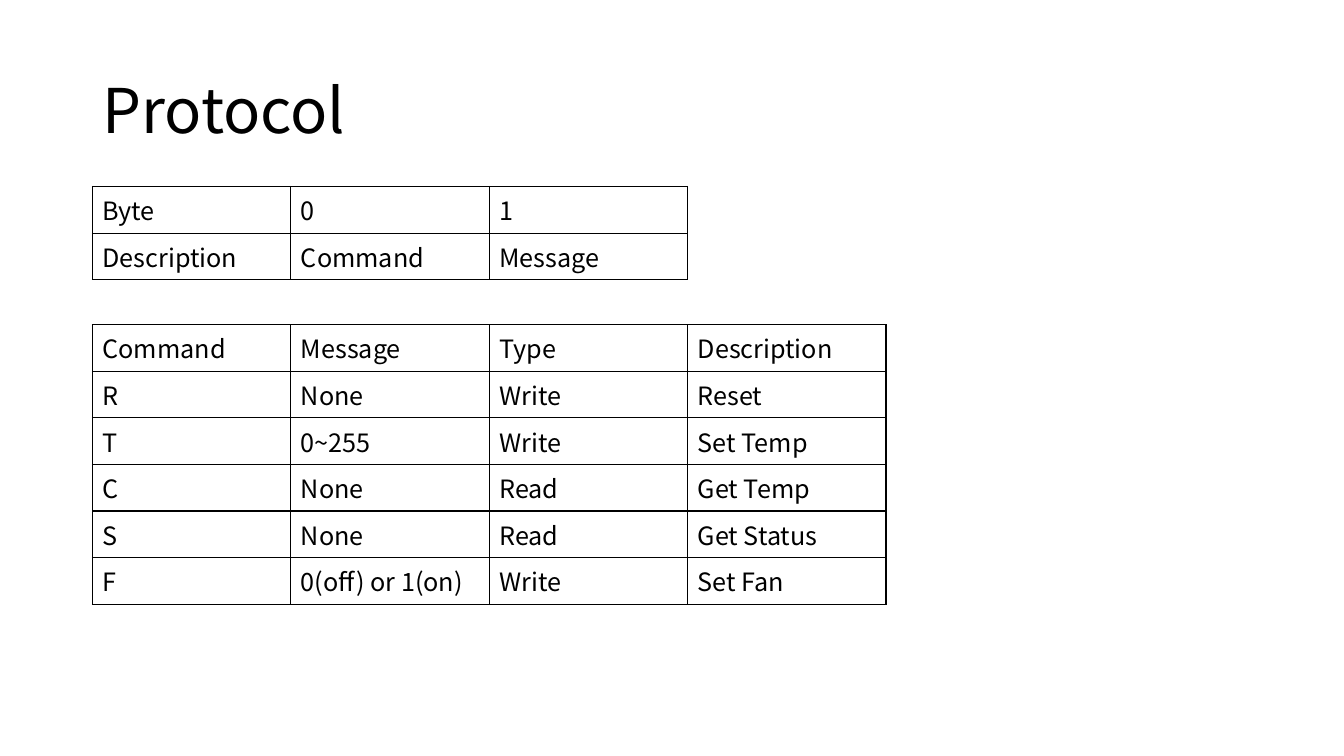
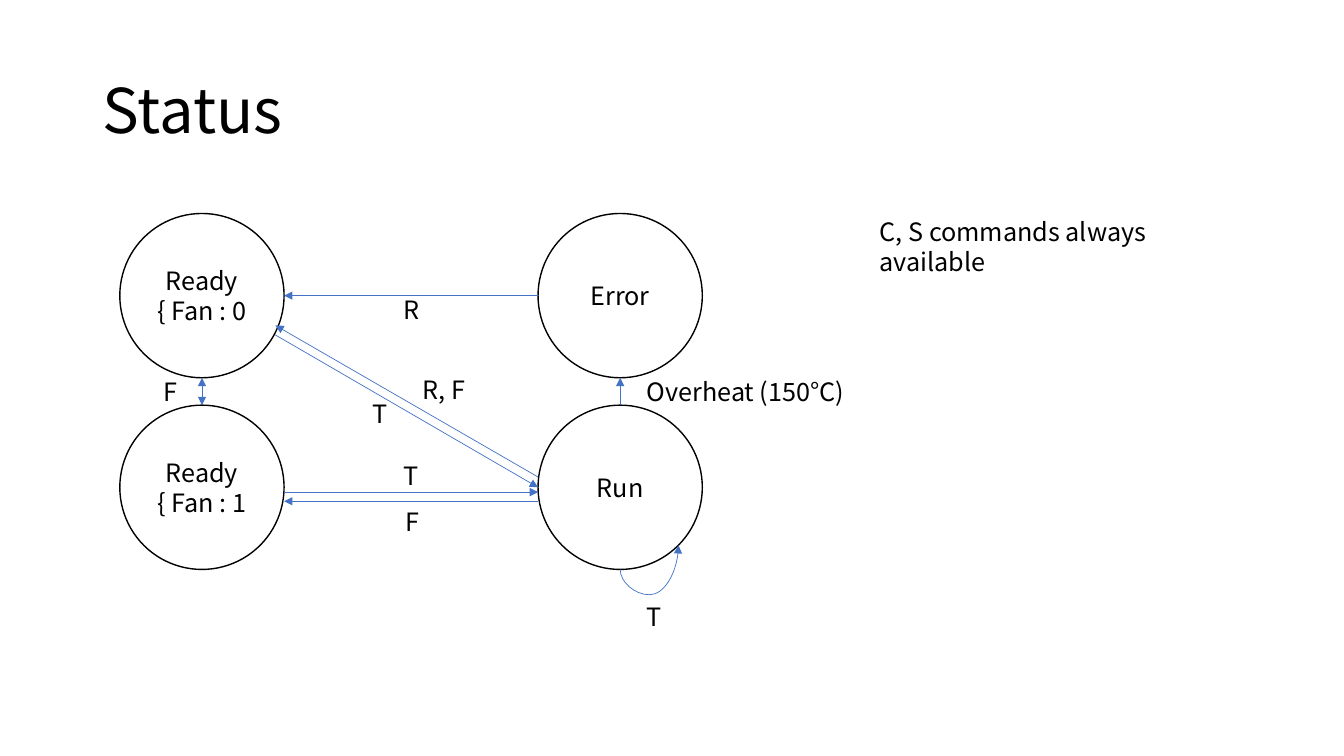
from lxml.etree import SubElement
from pptx import Presentation
from pptx.dml.color import RGBColor
from pptx.enum.shapes import MSO_CONNECTOR as LINK, MSO_SHAPE as SHAPE
from pptx.enum.text import MSO_ANCHOR as ANCHOR, MSO_AUTO_SIZE as FIT, PP_ALIGN as ALIGN
from pptx.oxml.ns import qn
from pptx.util import Cm, Pt

FONT = "Noto Sans CJK KR"
BLACK = RGBColor(0x00, 0x00, 0x00)
WHITE = RGBColor(0xFF, 0xFF, 0xFF)
BLUE = RGBColor(0x44, 0x72, 0xC4)

deck = Presentation()
deck.slide_width, deck.slide_height = Cm(33.87), Cm(19.05)


def write(frame, lines, size=18, align=ALIGN.LEFT):
    """Fill a text frame with one paragraph per line."""
    for number, line in enumerate(lines):
        paragraph = frame.add_paragraph() if number else frame.paragraphs[0]
        paragraph.alignment = align
        run = paragraph.add_run()
        run.text = line
        run.font.name, run.font.size = FONT, Pt(size)
        run.font.color.rgb = BLACK


def add_titled_slide(heading):
    slide = deck.slides.add_slide(deck.slide_layouts[5])
    title = slide.shapes.title
    title.left, title.top, title.width, title.height = Cm(2.33), Cm(1.01), Cm(29.21), Cm(3.68)
    title.text_frame.vertical_anchor = ANCHOR.MIDDLE
    write(title.text_frame, [heading], 44)
    title.text_frame.paragraphs[0].line_spacing = 0.9
    return slide.shapes


# Protocol
protocol = add_titled_slide("Protocol")
COLUMN, ROW = 5, 1.03
byte_layout = [
    ["Byte", "0", "1"],
    ["Description", "Command", "Message"],
]
commands = [
    ["Command", "Message", "Type", "Description"],
    ["R", "None", "Write", "Reset"],
    ["T", "0~255", "Write", "Set Temp"],
    ["C", "None", "Read", "Get Temp"],
    ["S", "None", "Read", "Get Status"],
    ["F", "0(off) or 1(on)", "Write", "Set Fan"],
]
for top, rows in [(4.7, byte_layout), (8.18, commands)]:
    table = protocol.add_table(
        len(rows), len(rows[0]), Cm(2.33), Cm(top),
        Cm(COLUMN * len(rows[0])), Cm(ROW * len(rows)),
    ).table
    table.first_row = table.horz_banding = False
    for cell, words in zip(table.iter_cells(), sum(rows, [])):
        write(cell.text_frame, [words])
        properties = cell._tc.get_or_add_tcPr()
        for side in ("a:lnL", "a:lnR", "a:lnT", "a:lnB"):
            border = SubElement(properties, qn(side), w=str(Pt(1)))
            border_fill = SubElement(border, qn("a:solidFill"))
            SubElement(border_fill, qn("a:srgbClr"), val=str(BLACK))
        cell.fill.solid()
        cell.fill.fore_color.rgb = WHITE

# Status
status = add_titled_slide("Status")
CIRCLE = 4.14
LEFT, RIGHT = 3.02, 13.56
UPPER, LOWER = 5.38, 10.21
READY_EDGE = LEFT + CIRCLE
READY_MID, RUN_MID = LEFT + CIRCLE / 2, RIGHT + CIRCLE / 2
UPPER_MID, UPPER_END = UPPER + CIRCLE / 2, UPPER + CIRCLE

states = [
    (LEFT, UPPER, ["Ready", "{ Fan : 0"]),
    (LEFT, LOWER, ["Ready", "{ Fan : 1"]),
    (RIGHT, UPPER, ["Error"]),
    (RIGHT, LOWER, ["Run"]),
]
for x, y, lines in states:
    state = status.add_shape(SHAPE.OVAL, Cm(x), Cm(y), Cm(CIRCLE), Cm(CIRCLE))
    state.shadow.inherit = False
    state.fill.solid()
    state.fill.fore_color.rgb = WHITE
    state.line.color.rgb, state.line.width = BLACK, Pt(1)
    state.text_frame.vertical_anchor = ANCHOR.MIDDLE
    write(state.text_frame, lines, align=ALIGN.CENTER)

END, BOTH = ["a:tailEnd"], ["a:headEnd", "a:tailEnd"]
transitions = [
    (LINK.STRAIGHT, READY_EDGE, 12.4, RIGHT, 12.4, END),
    (LINK.STRAIGHT, RIGHT, 12.63, READY_EDGE, 12.63, END),
    (LINK.STRAIGHT, 6.94, 8.44, RIGHT, 12.28, END),
    (LINK.STRAIGHT, RIGHT, 12.02, 6.94, 8.2, END),
    (LINK.STRAIGHT, RIGHT, UPPER_MID, READY_EDGE, UPPER_MID, END),
    (LINK.STRAIGHT, RUN_MID, LOWER, RUN_MID, UPPER_END, END),
    (LINK.STRAIGHT, READY_MID, UPPER_END, READY_MID, LOWER, BOTH),
    (LINK.CURVE, 16.67, 14.78, 16.06, 13.31, END),
]
for kind, x1, y1, x2, y2, heads in transitions:
    arrow = status.add_connector(kind, Cm(x1), Cm(y1), Cm(x2), Cm(y2))
    arrow.line.color.rgb, arrow.line.width = BLUE, Pt(0.5)
    for head in heads:
        SubElement(arrow.line._get_or_add_ln(), qn(head), type="triangle")
    drawing = arrow._element.spPr
    SubElement(drawing, qn("a:effectLst"))
    if kind == LINK.CURVE:
        # A quarter turn makes the loop hang below the circle
        drawing.find(qn("a:xfrm")).set("rot", str(90 * 60000))
        bends = drawing.find(qn("a:prstGeom")).find(qn("a:avLst"))
        SubElement(bends, qn("a:gd"), name="adj1", fmla="val -104700")

labels = [
    ("F", 3.86, 9.35, 0.85),
    ("T", 9.93, 11.48, 0.85),
    ("T", 9.14, 9.9, 0.85),
    ("R", 9.93, 7.28, 0.9),
    ("Overheat (150°C)", 16.05, 9.35, 5.48),
    ("T", 16.05, 15.04, 0.85),
    ("R, F", 10.41, 9.32, 1.6),
    ("F", 9.96, 12.63, 0.85),
    ("C, S commands always available", 21.92, 5.33, 9.88),
]
for words, x, y, width in labels:
    label = status.add_textbox(Cm(x), Cm(y), Cm(width), Cm(1.03)).text_frame
    label.word_wrap = width > 9
    label.auto_size = FIT.SHAPE_TO_FIT_TEXT
    write(label, [words])

deck.save("out.pptx")
